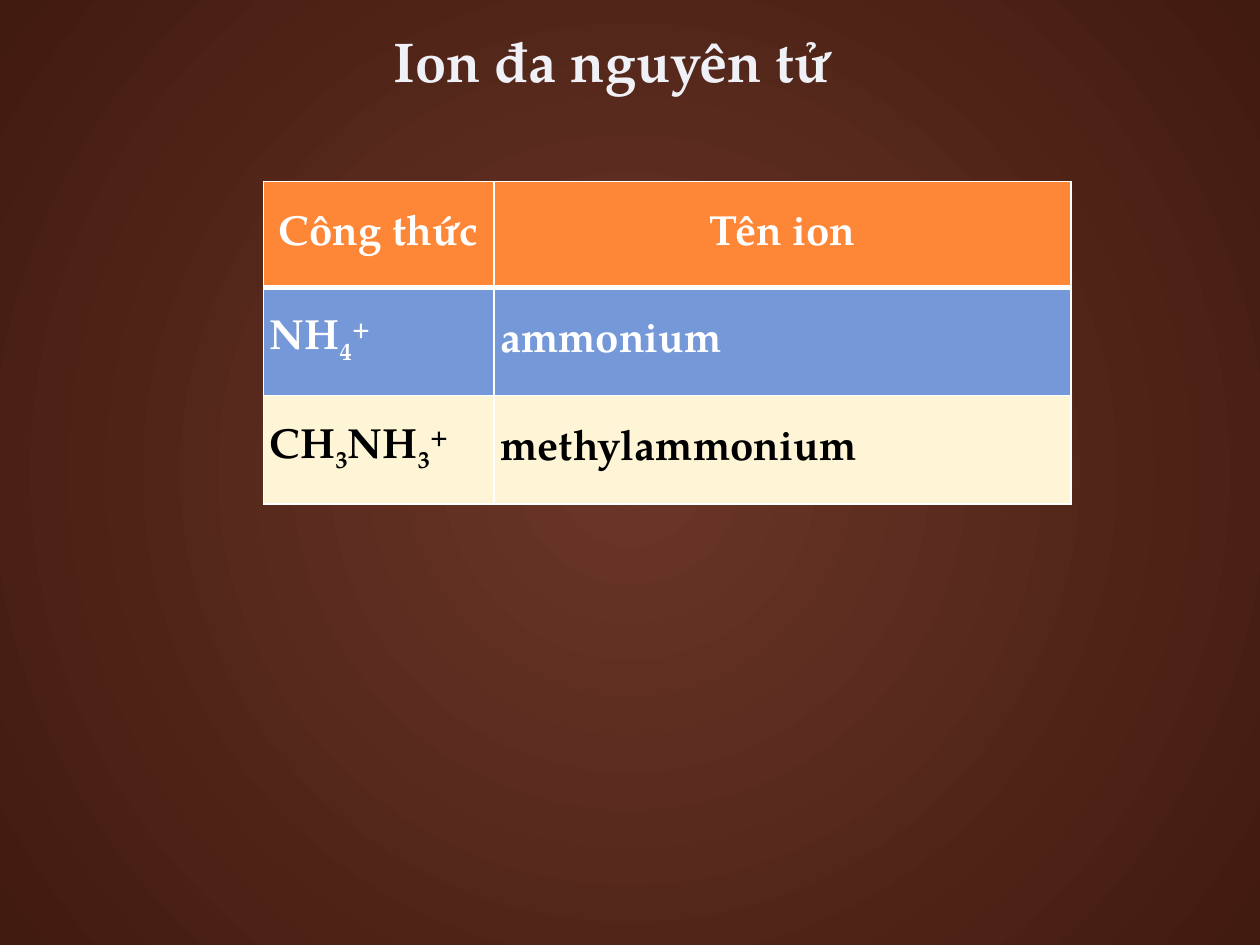
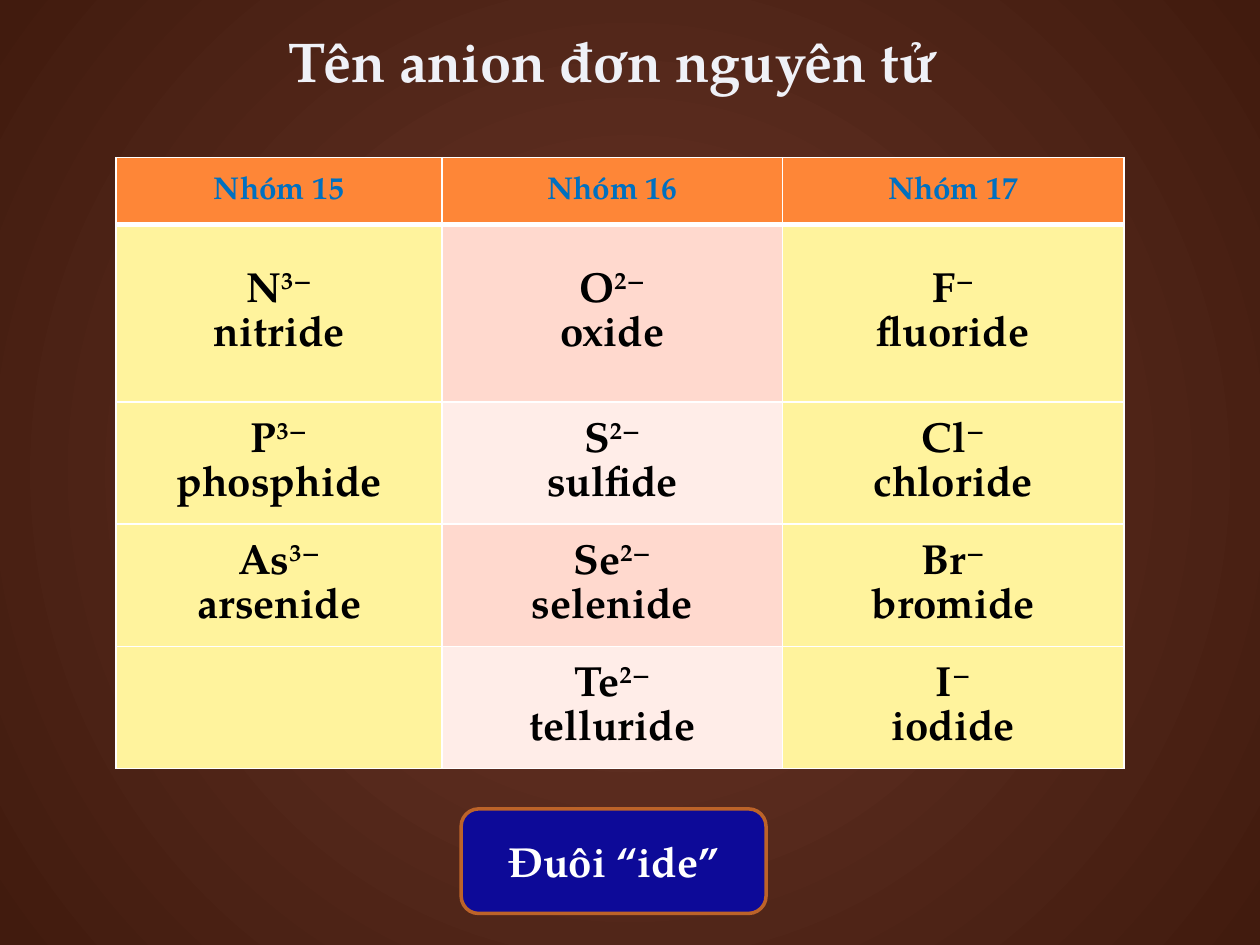
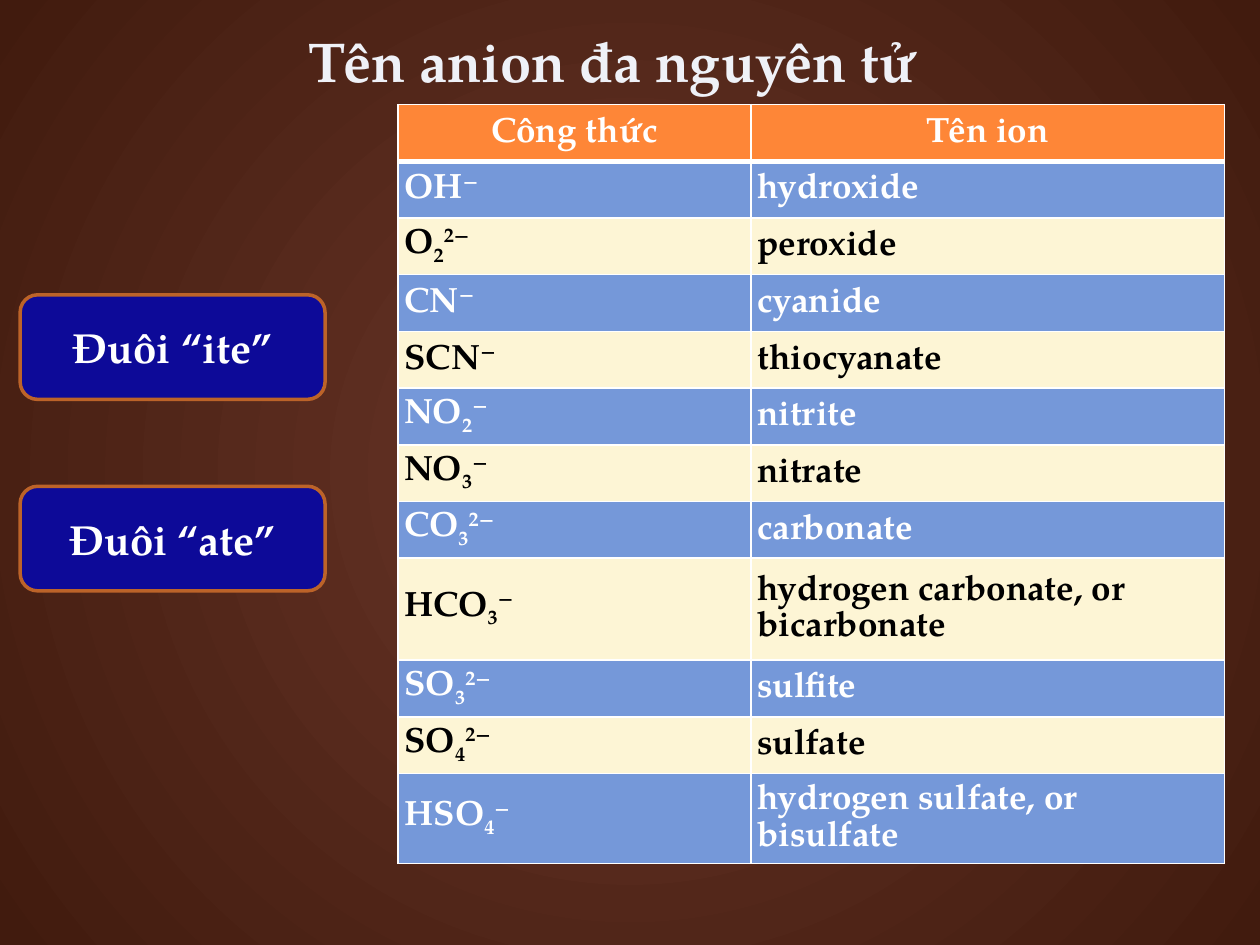
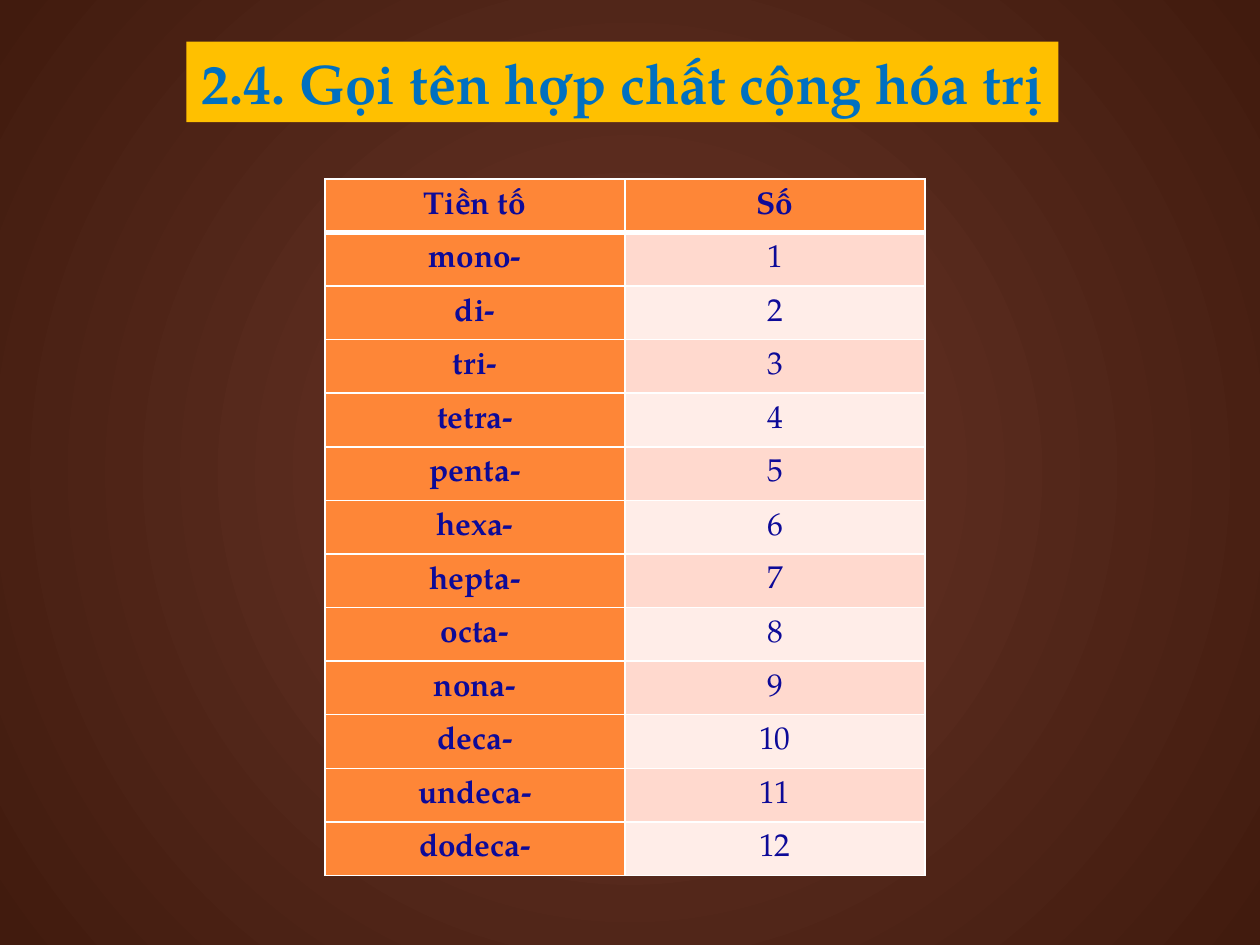
from lxml import etree
from pptx import Presentation, util as u
from pptx.dml import color as dml
from pptx.enum import shapes, text
from pptx.oxml import ns

FONT = "TeX Gyre Pagella"
COLORS = {
    "glow": "6A3629", "edge": "411B0E", "title": "EFF1F7", "white": "FFFFFF", "black": "000000",
    "orange": "FE8637", "blue": "7598D9", "cream": "FDF5D5", "yellow": "FFF39D",
    "pink": "FFD9CE", "pale": "FFEDE8", "navy": "0D0A98", "rust": "BC6329",
    "gold": "FFC000", "sky": "0070C0",
}
BASELINES = {"_": "-25000", "^": "30000"}
CENTER, LEFT = text.PP_ALIGN.CENTER, text.PP_ALIGN.LEFT
ION_HEADER = ("Công thức", "Tên ion")
POLYATOMIC_CATIONS = [
    ION_HEADER,
    ("NH|_4|^+", "ammonium"),
    ("CH|_3|NH|_3|^+", "methylammonium"),
]
MONATOMIC_ANIONS = [
    ("Nhóm 15", "Nhóm 16", "Nhóm 17"),
    ("N|^3−\nnitride", "O|^2−\noxide", "F|^−\nfluoride"),
    ("P|^3−\nphosphide", "S|^2−\nsulfide", "Cl|^−\nchloride"),
    ("As|^3−\narsenide", "Se|^2−\nselenide", "Br|^−\nbromide"),
    ("", "Te|^2−\ntelluride", "I|^−\niodide"),
]
POLYATOMIC_ANIONS = [
    ION_HEADER,
    ("OH|^−", "hydroxide"),
    ("O|_2|^2−", "peroxide"),
    ("CN|^−", "cyanide"),
    ("SCN|^−", "thiocyanate"),
    ("NO|_2|^−", "nitrite"),
    ("NO|_3|^−", "nitrate"),
    ("CO|_3|^2−", "carbonate"),
    ("HCO|_3|^−", "hydrogen carbonate, or bicarbonate"),
    ("SO|_3|^2−", "sulfite"),
    ("SO|_4|^2−", "sulfate"),
    ("HSO|_4|^−", "hydrogen sulfate, or bisulfate"),
]
PREFIXES = ["mono-", "di-", "tri-", "tetra-", "penta-", "hexa-", "hepta-", "octa-", "nona-",
            "deca-", "undeca-", "dodeca-"]


def rgb(name):
    """Return a palette colour."""
    return dml.RGBColor.from_string(COLORS[name])


def write(frame, content, size=24, color="white", bold=True, align=CENTER, spacing=None):
    """Write lines whose parts are split by |, with _ lowering and ^ raising a part."""
    for index, line in enumerate(content.split("\n")):
        paragraph = frame.paragraphs[0] if index == 0 else frame.add_paragraph()
        paragraph.alignment = align
        if spacing:
            paragraph.line_spacing = spacing
        for part in line.split("|"):
            run = paragraph.add_run()
            run.text = part.lstrip("_^")
            run.font.name, run.font.size, run.font.bold = FONT, u.Pt(size), bold
            run.font.color.rgb = rgb(color)
            if part[:1] in BASELINES:
                run.font._element.set("baseline", BASELINES[part[0]])


def paint_background(master):
    """Give every slide the brown glow that darkens towards the edges."""
    fill = master.background.fill
    fill.gradient()
    for stop, name in zip(fill.gradient_stops, ("glow", "edge")):
        stop.color.rgb = rgb(name)
    gradient = master.element.find(".//" + ns.qn("a:gradFill"))
    gradient.remove(gradient.find(ns.qn("a:lin")))
    circle = etree.SubElement(gradient, ns.qn("a:path"), path="circle")
    etree.SubElement(circle, ns.qn("a:fillToRect"), l="50000", t="50000", r="50000", b="50000")


def add_box(slide, kind, box, fill):
    """Add a filled shape without line or shadow."""
    shape = slide.shapes.add_shape(kind, *map(u.Inches, box))
    shape.shadow.inherit = False
    shape.fill.solid()
    shape.fill.fore_color.rgb = rgb(fill)
    shape.line.fill.background()
    return shape


def add_title(slide, box, wording, color="title", band=None):
    """Add the slide title, on a coloured band if one is named."""
    if band:
        title = add_box(slide, shapes.MSO_SHAPE.RECTANGLE, box, band)
    else:
        title = slide.shapes.add_textbox(*map(u.Inches, box))
    frame = title.text_frame
    frame.word_wrap = False
    frame.auto_size = text.MSO_AUTO_SIZE.SHAPE_TO_FIT_TEXT
    frame.vertical_anchor = text.MSO_ANCHOR.MIDDLE
    write(frame, wording, size=32, color=color)


def add_suffix(slide, left, top, suffix):
    """Add a rounded badge that names an ion suffix."""
    badge = add_box(slide, shapes.MSO_SHAPE.ROUNDED_RECTANGLE, (left, top, 2.42, 0.83), "navy")
    badge.line.color.rgb = rgb("rust")
    badge.line.width = u.Pt(2)
    badge.text_frame.word_wrap = True
    badge.text_frame.vertical_anchor = text.MSO_ANCHOR.MIDDLE
    write(badge.text_frame, f"Đuôi “{suffix}”")


def add_borders(cell, row):
    """Draw white cell borders, thicker under the header row."""
    widths = {"L": 1, "R": 1, "T": 3 if row == 1 else 1, "B": 3 if row == 0 else 1}
    properties = cell._tc.get_or_add_tcPr()
    for side, width in widths.items():
        line = etree.SubElement(properties, ns.qn(f"a:ln{side}"), w=str(u.Pt(width)))
        solid = etree.SubElement(line, ns.qn("a:solidFill"))
        etree.SubElement(solid, ns.qn("a:srgbClr"), val=COLORS["white"])


def add_grid(slide, left, top, widths, heights, rows, style, padding=0.05):
    """Add a table; style(row, column) gives a cell's fill and its text format."""
    box = (left, top, sum(widths), sum(heights))
    table = slide.shapes.add_table(len(rows), len(widths), *map(u.Inches, box)).table
    table.first_row = table.horz_banding = False
    for column, width in zip(table.columns, widths):
        column.width = u.Inches(width)
    for r, (height, entries) in enumerate(zip(heights, rows)):
        table.rows[r].height = u.Inches(height)
        for c, entry in enumerate(entries):
            cell = table.cell(r, c)
            add_borders(cell, r)
            fill, look = style(r, c)
            cell.fill.solid()
            cell.fill.fore_color.rgb = rgb(fill)
            cell.vertical_anchor = text.MSO_ANCHOR.MIDDLE
            cell.margin_left = cell.margin_right = u.Inches(0.05)
            cell.margin_top = cell.margin_bottom = u.Inches(padding)
            if entry:
                write(cell.text_frame, entry, spacing=1.07, **look)


def ion_style(size):
    """Return the style of formula tables, with blue and cream rows."""
    def style(row, column):
        """Style one cell by its row."""
        if row == 0:
            return "orange", {"size": size}
        fill, color = ("blue", "white") if row % 2 else ("cream", "black")
        return fill, {"size": size, "color": color, "align": LEFT}
    return style


def group_style(row, column):
    """Style the table of periodic groups."""
    if row == 0:
        return "orange", {"size": 18, "color": "sky"}
    banded = "pink" if row % 2 else "pale"
    return banded if column == 1 else "yellow", {"color": "black"}


def prefix_style(row, column):
    """Style the table of number prefixes."""
    label = row == 0 or column == 0
    fill = "orange" if label else "pink" if row % 2 else "pale"
    return fill, {"size": 18, "color": "navy", "bold": label}


def polyatomic_cations(slide):
    """Fill the slide on polyatomic ions."""
    add_grid(slide, 2.09, 1.44, (1.83, 4.58), (0.84, 0.86, 0.86), POLYATOMIC_CATIONS,
             ion_style(24))
    add_title(slide, (3, 0.16, 3.72, 0.64), "Ion đa nguyên tử")


def monatomic_anions(slide):
    """Fill the slide on monatomic anions."""
    add_title(slide, (2.16, 0.16, 5.4, 0.64), "Tên anion đơn nguyên tử")
    add_grid(slide, 0.92, 1.25, (2.59, 2.7, 2.71), (0.53, 1.41, 0.97, 0.97, 0.97),
             MONATOMIC_ANIONS, group_style)
    add_suffix(slide, 3.66, 6.42, "ide")


def polyatomic_anions(slide):
    """Fill the slide on polyatomic anions."""
    heights = [0.45] * 8 + [0.81] + [0.45] * 2 + [0.71]
    add_grid(slide, 3.16, 0.83, (2.8, 3.76), heights, POLYATOMIC_ANIONS, ion_style(20),
             padding=0)
    add_title(slide, (2.31, 0.16, 5.1, 0.64), "Tên anion đa nguyên tử")
    for top, suffix in ((2.34, "ite"), (3.86, "ate")):
        add_suffix(slide, 0.16, top, suffix)


def covalent_prefixes(slide):
    """Fill the slide on prefixes in covalent names."""
    add_title(slide, (1.48, 0.33, 6.92, 0.64), "2.4. Gọi tên hợp chất cộng hóa trị",
              color="sky", band="gold")
    rows = [("Tiền tố", "Số")]
    rows += [(prefix, str(number)) for number, prefix in enumerate(PREFIXES, 1)]
    add_grid(slide, 2.58, 1.42, (2.38, 2.38), [5.53 / len(rows)] * len(rows), rows,
             prefix_style)


def main():
    """Build and save the presentation."""
    deck = Presentation()
    deck.slide_width, deck.slide_height = u.Inches(10), u.Inches(7.5)
    paint_background(deck.slide_master)
    for fill_slide in (polyatomic_cations, monatomic_anions, polyatomic_anions,
                       covalent_prefixes):
        fill_slide(deck.slides.add_slide(deck.slide_layouts[6]))
    deck.save("out.pptx")


if __name__ == "__main__":
    main()
